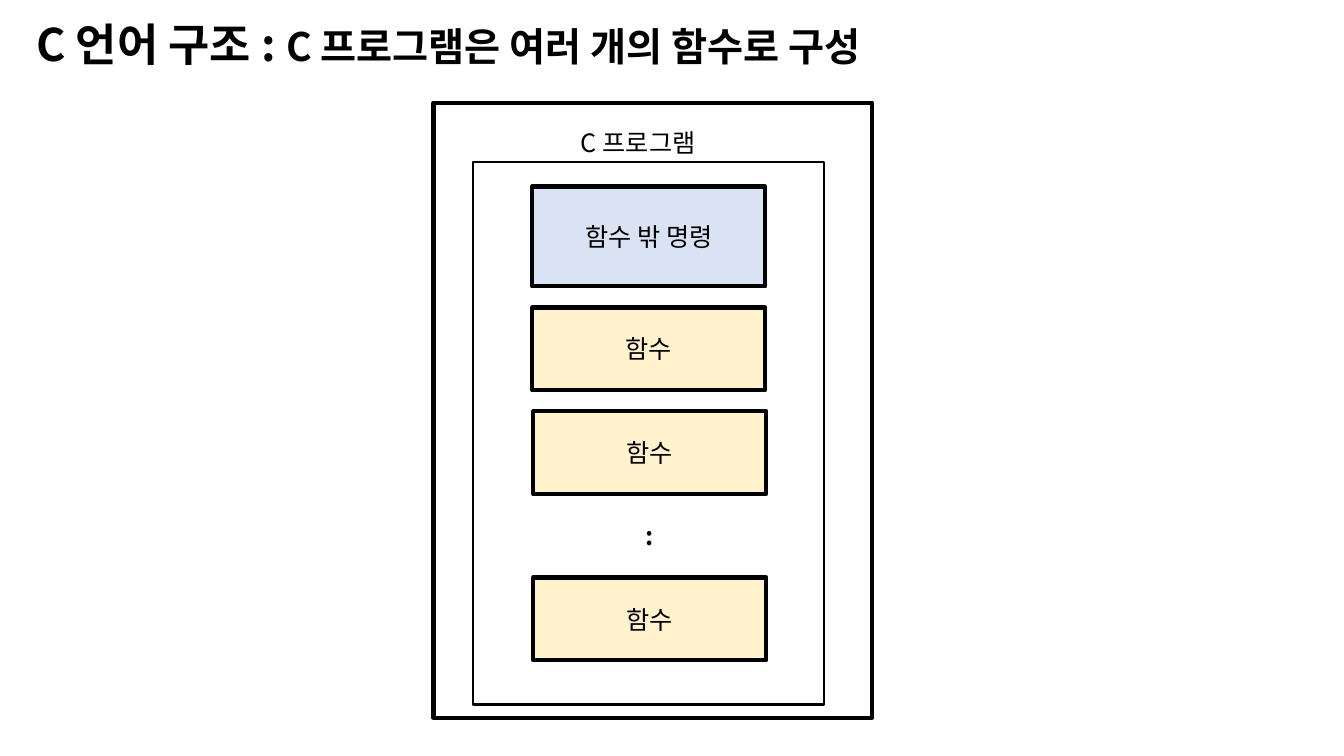
from pptx import Presentation
from pptx.dml.color import RGBColor
from pptx.enum.shapes import MSO_SHAPE
from pptx.enum.text import MSO_ANCHOR, PP_ALIGN
from pptx.oxml.ns import qn
from pptx.util import Inches, Pt
from lxml import etree

RECTANGLE = MSO_SHAPE.RECTANGLE
MIDDLE, TOP = MSO_ANCHOR.MIDDLE, MSO_ANCHOR.TOP
LEFT, CENTER = PP_ALIGN.LEFT, PP_ALIGN.CENTER

BLACK = RGBColor(0x00, 0x00, 0x00)
PALE_BLUE = RGBColor(0xDA, 0xE3, 0xF3)
PALE_YELLOW = RGBColor(0xFF, 0xF2, 0xCC)

TITLE_FONT = "Noto Sans CJK TC"
BODY_FONT = "Noto Sans CJK KR"

BOX_WIDTH = 2.31
FUNCTION_HEIGHT = 0.82


def add_span(para, text, size, font_name, bold=False):
    """Add a run whose Latin and Korean letters share one font."""
    span = para.add_run()
    span.text = text
    span.font.size = Pt(size)
    span.font.name = font_name
    span.font.bold = bold
    span.font.color.rgb = BLACK
    east_asian = etree.SubElement(span.font._element, qn("a:ea"))
    east_asian.set("typeface", font_name)


def add_box(page, left, top, width, height, line_width, fill=None, text=None):
    """Add an outlined rectangle, with a fill and a centred label if given."""
    box = page.shapes.add_shape(RECTANGLE, Inches(left), Inches(top),
                                Inches(width), Inches(height))
    box.shadow.inherit = False
    box.line.color.rgb = BLACK
    box.line.width = Pt(line_width)
    if fill is None:
        box.fill.background()
    else:
        box.fill.solid()
        box.fill.fore_color.rgb = fill
    if text:
        box.text_frame.vertical_anchor = MIDDLE
        para = box.text_frame.paragraphs[0]
        para.alignment = CENTER
        add_span(para, text, 18, BODY_FONT)


def add_text(page, left, top, width, height, align=LEFT, anchor=TOP, wrap=False):
    """Add a text box and return its empty paragraph."""
    box = page.shapes.add_textbox(Inches(left), Inches(top),
                                  Inches(width), Inches(height))
    box.text_frame.word_wrap = wrap
    box.text_frame.vertical_anchor = anchor
    para = box.text_frame.paragraphs[0]
    para.alignment = align
    return para


def main():
    deck = Presentation()
    deck.slide_width, deck.slide_height = Inches(13.33), Inches(7.5)
    page = deck.slides.add_slide(deck.slide_layouts[6])

    # Title
    title = add_text(page, 0.16, 0.1, 9.22, 0.74, anchor=MIDDLE, wrap=True)
    title.line_spacing = 0.9
    add_span(title, " C 언어 구조 : ", 32, TITLE_FONT, bold=True)
    add_span(title, "C 프로그램은 여러 개의 함수로 구성", 28, TITLE_FONT, bold=True)

    # Program frames and their label
    add_box(page, 4.69, 1.61, 3.48, 5.38, 1.5)
    add_box(page, 4.3, 1.02, 4.35, 6.1, 3)
    label = add_text(page, 5.58, 1.21, 1.5, 0.4, align=CENTER)
    add_span(label, "C 프로그램", 18, BODY_FONT)

    # Statements outside functions, then the functions
    add_box(page, 5.28, 1.85, BOX_WIDTH, 0.99, 3, PALE_BLUE, "함수 밖 명령")
    for left, top in ((5.28, 3.05), (5.29, 4.08), (5.29, 5.73)):
        add_box(page, left, top, BOX_WIDTH, FUNCTION_HEIGHT, 3, PALE_YELLOW, "함수")

    # Continuation mark
    mark = add_text(page, 6.3, 5.11, 0.27, 0.4)
    add_span(mark, ":", 18, BODY_FONT, bold=True)

    deck.save("out.pptx")


if __name__ == "__main__":
    main()
